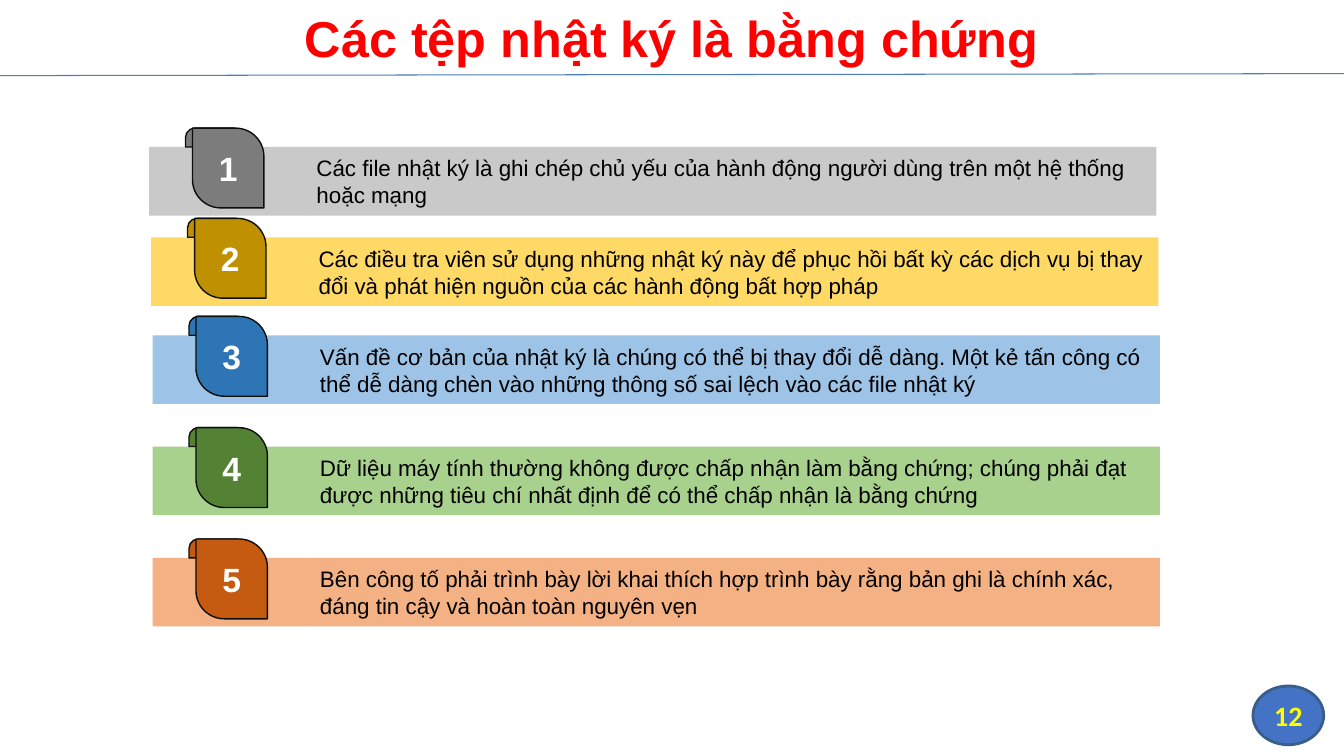
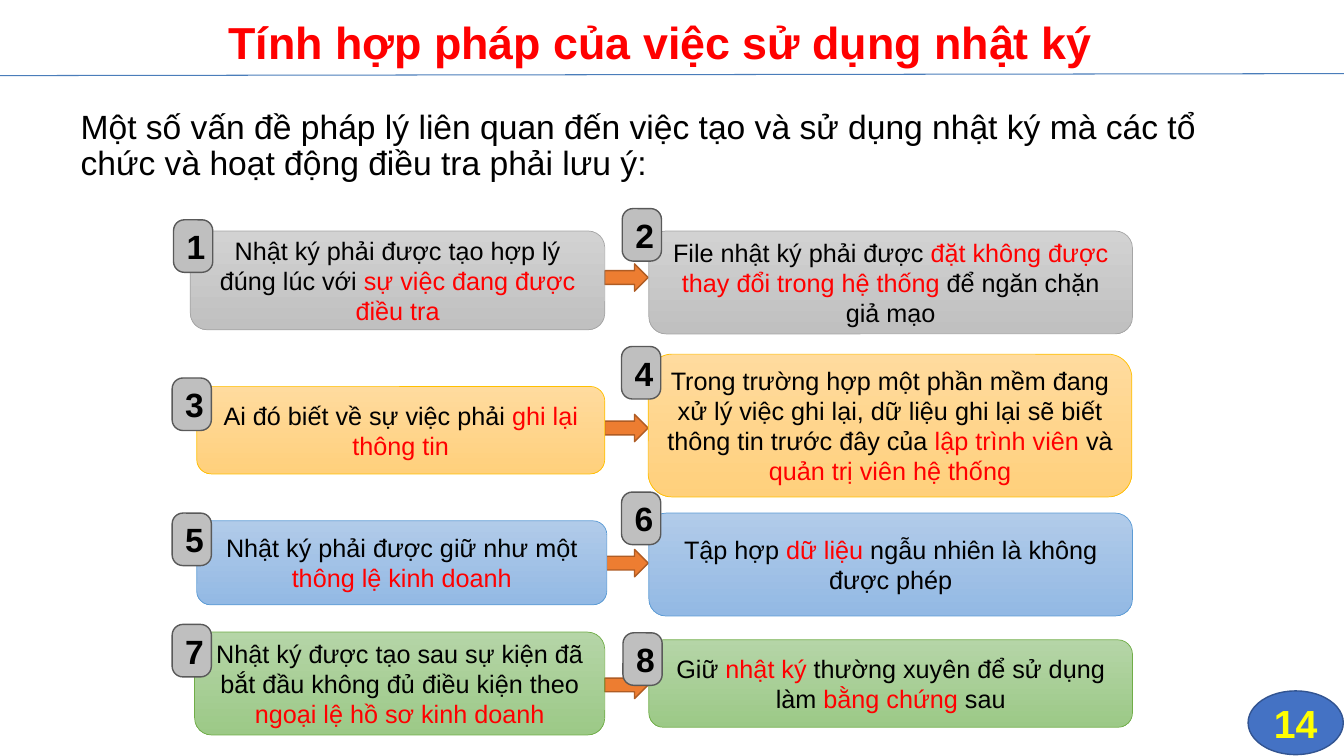
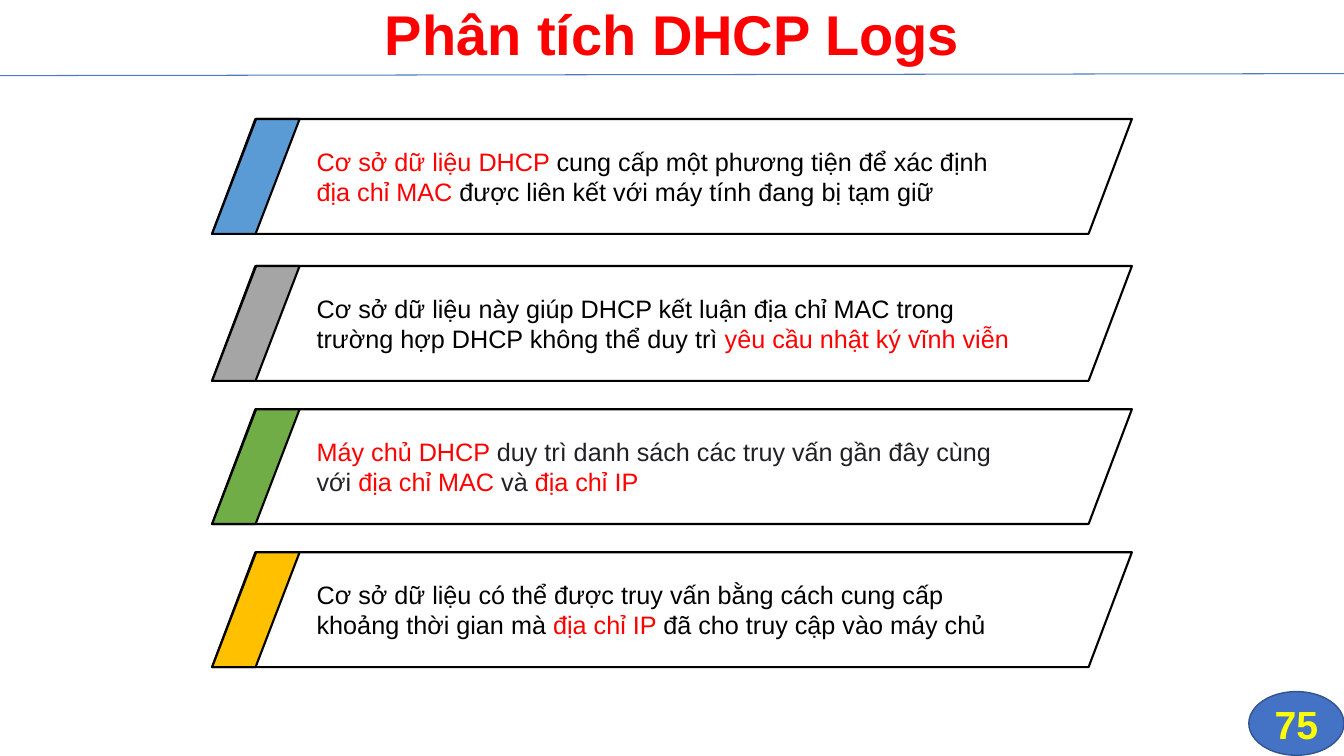
import pptx
import pptx.dml.color
import pptx.enum.shapes
import pptx.enum.text
import pptx.oxml.ns
import pptx.util
from lxml import etree

Pt = pptx.util.Pt
Shape = pptx.enum.shapes.MSO_SHAPE
Align = pptx.enum.text.PP_ALIGN
Anchor = pptx.enum.text.MSO_ANCHOR

RED = "FF0000"
BLACK = "000000"
WHITE = "FFFFFF"
YELLOW = "FFFF00"


def rgb(value):
    """Turn a hex string into a colour."""
    return pptx.dml.color.RGBColor.from_string(value)


def write_text(shape, text, *, size=18, color=BLACK, bold=False, font="Arial",
               align=Align.LEFT, anchor=Anchor.MIDDLE, spacing=None, inset=7.2):
    """Write one paragraph in a shape, with parts between asterisks in red."""
    frame = shape.text_frame
    frame.word_wrap = True
    frame.auto_size = pptx.enum.text.MSO_AUTO_SIZE.NONE
    frame.vertical_anchor = anchor
    frame.margin_left = frame.margin_right = Pt(inset)
    frame.margin_top = frame.margin_bottom = Pt(3.6)
    paragraph = frame.paragraphs[0]
    paragraph.alignment = align
    if spacing:
        paragraph.line_spacing = spacing
    for index, part in enumerate(text.split("*")):
        if part:
            run = paragraph.add_run()
            run.text = part
            run.font.name = font
            run.font.size = Pt(size)
            run.font.bold = bold
            run.font.color.rgb = rgb(RED if index % 2 else color)


class Deck:
    """Hold the shared style and the slide being built."""

    def __init__(self):
        """Start an empty wide presentation."""
        self.presentation = pptx.Presentation()
        self.presentation.slide_width = Pt(960)
        self.presentation.slide_height = Pt(540)
        self.slide = None

    def add_slide(self, title, box, **text_format):
        """Add a slide with its red title and the rule below it."""
        layout = self.presentation.slide_layouts[5]
        self.slide = self.presentation.slides.add_slide(layout)
        shape = self.slide.shapes.title
        shape.left, shape.top, shape.width, shape.height = map(Pt, box)
        write_text(shape, title, color=RED, bold=True, **text_format)
        self.rule()

    def rule(self):
        """Draw the thin line under the title."""
        line = self.slide.shapes.add_connector(
            pptx.enum.shapes.MSO_CONNECTOR.STRAIGHT, 0, Pt(54), Pt(960), Pt(52.6))
        line.line.color.rgb = rgb("4A7DBA")
        line.line.width = Pt(0.75)
        properties = line._element.spPr
        etree.SubElement(properties, pptx.oxml.ns.qn("a:effectLst"))

    def shape(self, kind, box, fill, line=None, width=1, adjustments=()):
        """Add a preset shape; a pair of fills makes a vertical gradient."""
        shape = self.slide.shapes.add_shape(kind, *map(Pt, box))
        shape.shadow.inherit = False
        if isinstance(fill, tuple):
            shape.fill.gradient()
            shape.fill.gradient_angle = 270
            for stop, color in zip(shape.fill.gradient_stops, fill):
                stop.color.rgb = rgb(color)
        else:
            shape.fill.solid()
            shape.fill.fore_color.rgb = rgb(fill)
        if line:
            shape.line.color.rgb = rgb(line)
            shape.line.width = Pt(width)
        else:
            shape.line.fill.background()
        for index, value in enumerate(adjustments):
            shape.adjustments[index] = value
        return shape

    def text(self, text, box, **text_format):
        """Add a text box."""
        write_text(self.slide.shapes.add_textbox(*map(Pt, box)), text, **text_format)

    def page_number(self, number, box, line="325491", width=1, size=28, font="Arial"):
        """Add the page number in its blue oval."""
        oval = self.shape(Shape.OVAL, box, "4472C4", line, width)
        write_text(oval, number, size=size, font=font, color=YELLOW, bold=True,
                   align=Align.CENTER, inset=0)

    def evidence_band(self, number, left, top, band, badge, text):
        """Add a coloured band with a folded number badge."""
        self.shape(Shape.RECTANGLE, (left, top, 113, 49), band)
        body = self.shape(Shape.RECTANGLE, (left + 112.5, top, 607, 49), band)
        write_text(body, text, size=16)
        self.shape(Shape.ROUND_2_SAME_RECTANGLE, (left + 26, top - 13.5, 41, 13.5),
                   badge, "0D0D0D", adjustments=(0.5, 0))
        leaf = self.shape(Shape.ROUND_2_DIAG_RECTANGLE, (left + 31, top - 13.5, 51, 57),
                          badge, "0D0D0D", adjustments=(0, 0.395))
        write_text(leaf, str(number), size=24, color=WHITE, bold=True, align=Align.CENTER)

    def arrow(self, top):
        """Add the orange arrow between two issue cards."""
        self.shape(Shape.RIGHT_ARROW, (432, top, 31, 19.5), "ED7D31", "AF5C24")

    def issue_card(self, number, box, badge_at, fill, line, text):
        """Add a rounded card with its number badge."""
        card = self.shape(Shape.ROUNDED_RECTANGLE, box, fill, line, 0.5)
        write_text(card, text, align=Align.CENTER)
        badge = self.shape(Shape.ROUNDED_RECTANGLE, (*badge_at, 28, 37.5), "BFBFBF",
                           "595959", adjustments=(0.274,))
        write_text(badge, str(number), size=24, bold=True, align=Align.CENTER)

    def slanted_panel(self, top, accent, text, color):
        """Add a slanted panel with a coloured left end."""
        panel = self.shape(Shape.PARALLELOGRAM, (151.5, top, 657, 82), WHITE,
                           BLACK, 1.5, (0.377,))
        write_text(panel, text, color=color)
        self.shape(Shape.PARALLELOGRAM, (151.5, top, 62.5, 82), accent,
                   BLACK, 1.5, (0.503,))


def build_evidence(deck):
    """Build the slide on log files as evidence."""
    deck.add_slide("Các tệp nhật ký là bằng chứng", (103.5, 1.5, 752.5, 51), size=36,
                   align=Align.CENTER, anchor=Anchor.TOP)
    bands = [
        (106.5, 105, "C9C9C9", "7C7C7C",
         "Các file nhật ký là ghi chép chủ yếu của hành động người dùng trên một "
         "hệ thống hoặc mạng"),
        (108, 169.5, "FFD966", "BF9000",
         "Các điều tra viên sử dụng những nhật ký này để phục hồi bất kỳ các dịch vụ "
         "bị thay đổi và phát hiện nguồn của các hành động bất hợp pháp"),
        (109, 239.5, "9DC3E6", "2E75B6",
         "Vấn đề cơ bản của nhật ký là chúng có thể bị thay đổi dễ dàng. Một kẻ tấn "
         "công có thể dễ dàng chèn vào những thông số sai lệch vào các file nhật ký"),
        (109, 319, "A9D18E", "548235",
         "Dữ liệu máy tính thường không được chấp nhận làm bằng chứng; chúng phải đạt "
         "được những tiêu chí nhất định để có thể chấp nhận là bằng chứng"),
        (109, 398.5, "F4B183", "C55A11",
         "Bên công tố phải trình bày lời khai thích hợp trình bày rằng bản ghi là "
         "chính xác, đáng tin cậy và hoàn toàn nguyên vẹn"),
    ]
    for number, band in enumerate(bands, 1):
        deck.evidence_band(number, *band)
    deck.page_number("12", (895, 490, 50.5, 42), "395E89", 2, 20, "Calibri")


def build_legality(deck):
    """Build the slide on the legality of using logs."""
    deck.add_slide("Tính hợp pháp của việc sử dụng nhật ký", (156, 9.5, 648, 45),
                   size=32, spacing=0.9)
    deck.text("Một số vấn đề pháp lý liên quan đến việc tạo và sử dụng nhật ký mà các tổ "
              "chức và hoạt động điều tra phải lưu ý:", (50.5, 75, 859, 60), size=24,
              anchor=Anchor.TOP, spacing=0.9)
    gray = (("D2D2D2", "C0C0C0"), "A5A5A5")
    gold = (("FFDB9E", "FFD07C"), "FFC000")
    blue = (("B1CBE9", "93B9E4"), "5B9BD5")
    green = (("B5D5A7", "9CC987"), "70AD47")
    rows = [
        (188.5, gray,
         ((136, 165, 296, 70.5), (124, 157),
          "Nhật ký phải được tạo hợp lý đúng lúc với *sự việc đang được điều tra*"),
         ((463.5, 165, 345.5, 73.5), (444.5, 149),
          "File nhật ký phải được *đặt không được thay đổi trong hệ thống *"
          "để ngăn chặn giả mạo")),
        (296, gold,
         ((140.5, 276, 291.5, 62.5), (123, 270),
          "Ai đó biết về sự việc phải *ghi lại thông tin*"),
         ((463, 253, 345.5, 102), (444, 247.5),
          "Trong trường hợp một phần mềm đang xử lý việc ghi lại, dữ liệu ghi lại sẽ "
          "biết thông tin trước đây của *lập trình viên *và *quản trị viên hệ thống*")),
        (392.5, blue,
         ((140.5, 372, 293, 60), (123, 366.5),
          "Nhật ký phải được giữ như một *thông lệ kinh doanh*"),
         ((463.5, 366.5, 345.5, 73.5), (444, 351.5),
          "Tập hợp *dữ liệu *ngẫu nhiên là không được phép")),
        (479.5, green,
         ((139, 451.5, 293, 73.5), (123, 446),
          "Nhật ký được tạo sau sự kiện đã bắt đầu không đủ điều kiện theo "
          "*ngoại lệ hồ sơ kinh doanh*"),
         ((463.5, 457, 345.5, 62.5), (445, 452),
          "Giữ *nhật ký *thường xuyên để sử dụng làm *bằng chứng *sau")),
    ]
    for row, (arrow_top, colors, *cards) in enumerate(rows):
        deck.arrow(arrow_top)
        for column, (box, badge_at, text) in enumerate(cards, 1):
            deck.issue_card(2 * row + column, box, badge_at, *colors, text)
    deck.page_number("14", (891.5, 493.5, 68, 45.5))


def build_dhcp(deck):
    """Build the slide on analysing DHCP logs."""
    deck.add_slide("Phân tích DHCP Logs", (156, -0.5, 648, 55), size=40,
                   align=Align.CENTER, spacing=0.9)
    panels = [
        (85, "5B9BD5",
         "*Cơ sở dữ liệu DHCP *cung cấp một phương tiện để xác định *địa chỉ MAC *"
         "được liên kết với máy tính đang bị tạm giữ", BLACK),
        (190, "A5A5A5",
         "Cơ sở dữ liệu này giúp DHCP kết luận địa chỉ MAC trong trường hợp DHCP "
         "không thể duy trì *yêu cầu nhật ký vĩnh viễn*", BLACK),
        (292.3, "70AD47",
         "*Máy chủ DHCP *duy trì danh sách các truy vấn gần đây cùng với "
         "*địa chỉ MAC *và *địa chỉ IP*", "202124"),
        (394.5, "FFC000",
         "Cơ sở dữ liệu có thể được truy vấn bằng cách cung cấp khoảng thời gian mà "
         "*địa chỉ IP *đã cho truy cập vào máy chủ", BLACK),
    ]
    for panel in panels:
        deck.slanted_panel(*panel)
    deck.page_number("75", (892, 494, 68, 45.5))


def main():
    """Build and save the presentation."""
    deck = Deck()
    build_evidence(deck)
    build_legality(deck)
    build_dhcp(deck)
    deck.presentation.save("out.pptx")


if __name__ == "__main__":
    main()
